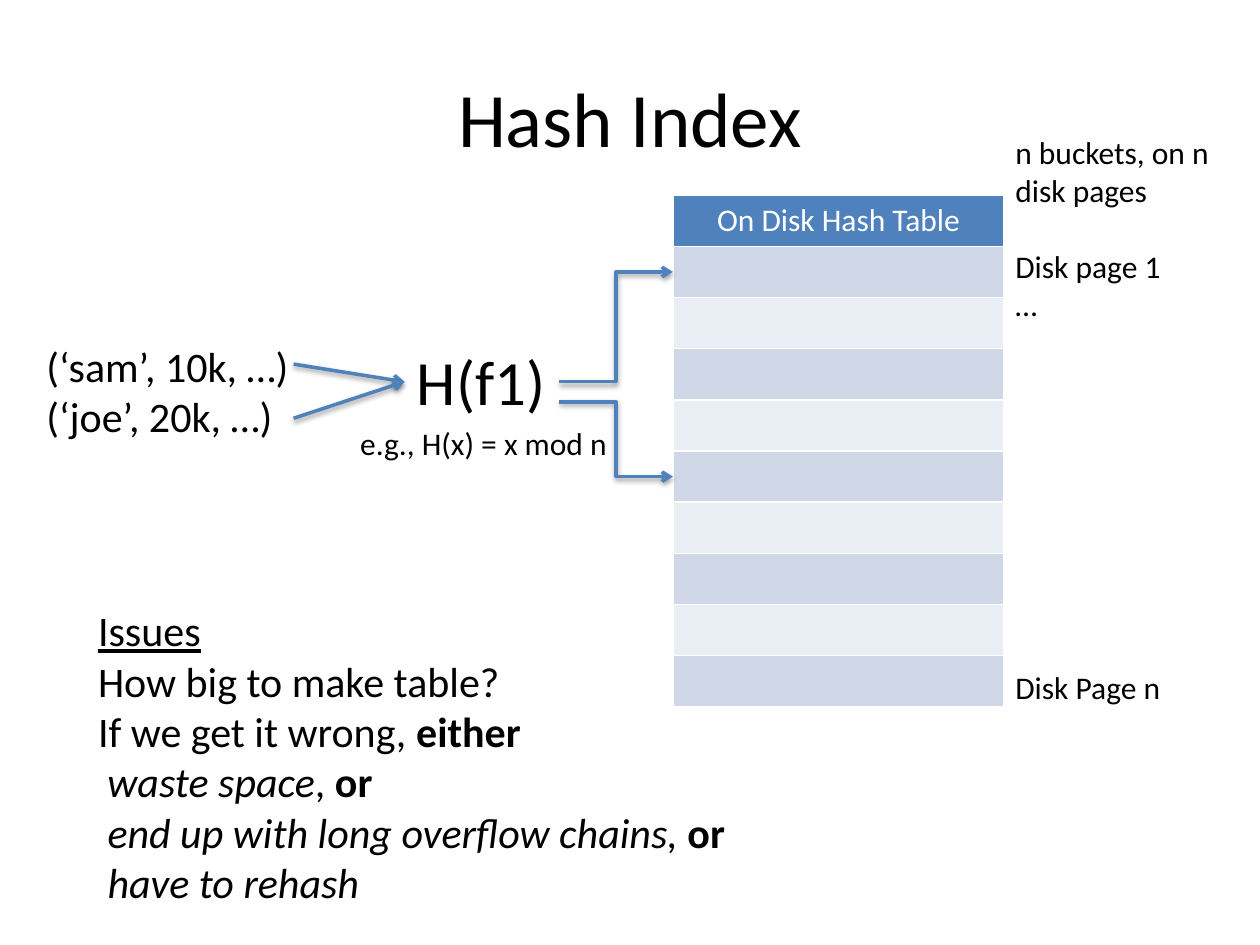
from lxml import etree
from pptx import Presentation
from pptx.dml.color import RGBColor
from pptx.enum import shapes, text
from pptx.oxml import parse_xml
from pptx.oxml.ns import nsdecls, qn
from pptx.util import Inches, Pt

BLACK = RGBColor(0, 0, 0)
WHITE = RGBColor(255, 255, 255)
BLUE = RGBColor(0x4F, 0x81, 0xBD)
BANDS = RGBColor(0xD0, 0xD8, 0xE8), RGBColor(0xE9, 0xED, 0xF4)
FONT = "Calibri"

TITLE = "Hash Index"
TABLE_HEADING = "On Disk Hash Table"
BUCKETS = 9
TABLE_LEFT, TABLE_TOP, TABLE_WIDTH, ROW_HEIGHT = 5.34, 1.55, 2.63, 4.06 / (BUCKETS + 1)

# Each label: box, size, wrap, paragraphs as (space before, [(words, style)])
LABELS = [
    ((7.96, 1.01, 1.81, 4.64), 18, True, [
        (0, [("n buckets, on n disk pages", "")]),
        (22, [("Disk page 1", "")]),
        (0, [("…", "")]),
        (197, [("Disk Page n", "")])]),
    ((3.21, 2.67, 1.23, 0.71), 36, True, [(0, [("H(f1)", "")])]),
    ((0.27, 2.65, 2.32, 0.91), 24, True, [
        (0, [("(‘sam’, 10k, …)", "")]),
        (0, [("(‘joe’, 20k, …)", "")])]),
    ((0.68, 4.75, 5.33, 2.52), 24, True, [
        (0, [("Issues", "u")]),
        (0, [("How big to make table?", "")]),
        (0, [("If we get it wrong, ", ""), ("either", "b")]),
        (0, [(" ", ""), ("waste space", "i"), (", ", ""), ("or", "b")]),
        (0, [(" end up with long overflow chains, ", "i"), ("or", "b")]),
        (0, [(" have to rehash", "i")])]),
    ((2.76, 3.32, 2.18, 0.4), 18, False, [(0, [("e.g., H(x) = x mod n", "")])]),
]


def bucket_middle(number):
    return TABLE_TOP + ROW_HEIGHT * (number + 0.5)


STRAIGHT, ELBOW = shapes.MSO_CONNECTOR.STRAIGHT, shapes.MSO_CONNECTOR.ELBOW
ARROWS = [
    (STRAIGHT, 2.33, 2.89, 3.21, 3.03),
    (ELBOW, 4.44, 3.03, TABLE_LEFT, bucket_middle(1)),
    (STRAIGHT, 2.33, 3.32, 3.21, 3.03),
    (ELBOW, 4.44, 3.19, TABLE_LEFT, bucket_middle(5)),
]
SHADOW = (
    f'<a:effectLst {nsdecls("a")}><a:outerShdw blurRad="{Pt(3.1)}" dist="{Pt(1.6)}" '
    'dir="5400000" rotWithShape="0"><a:srgbClr val="000000"><a:alpha val="38000"/>'
    '</a:srgbClr></a:outerShdw></a:effectLst>'
)


def style_run(run, size, color, style=""):
    run.font.name = FONT
    run.font.size = Pt(size)
    run.font.color.rgb = color
    run.font.bold = "b" in style
    run.font.italic = "i" in style
    run.font.underline = "u" in style


def add_label(slide, box, size, wrap, paragraphs):
    frame = slide.shapes.add_textbox(*map(Inches, box)).text_frame
    frame.word_wrap = wrap
    for index, (space, pieces) in enumerate(paragraphs):
        paragraph = frame.add_paragraph() if index else frame.paragraphs[0]
        paragraph.space_before = Pt(space)
        for words, style in pieces:
            run = paragraph.add_run()
            run.text = words
            style_run(run, size, BLACK, style)


def add_arrow(slide, kind, *ends):
    arrow = slide.shapes.add_connector(kind, *map(Inches, ends))
    arrow.line.color.rgb = BLUE
    arrow.line.width = Pt(2)
    etree.SubElement(arrow.line._get_or_add_ln(), qn("a:tailEnd"), type="arrow")
    arrow._element.spPr.append(parse_xml(SHADOW))


deck = Presentation()
deck.slide_width, deck.slide_height = Inches(10), Inches(7.5)
slide = deck.slides.add_slide(deck.slide_layouts[5])

title = slide.shapes.title
title.left, title.top, title.width, title.height = map(Inches, (0.5, 0.3, 9, 1.25))
title.text_frame.text = TITLE
title.text_frame.vertical_anchor = text.MSO_ANCHOR.MIDDLE
title.text_frame.paragraphs[0].alignment = text.PP_ALIGN.CENTER
style_run(title.text_frame.paragraphs[0].runs[0], 44, BLACK)

rows = BUCKETS + 1
hash_table = slide.shapes.add_table(
    rows, 1, Inches(TABLE_LEFT), Inches(TABLE_TOP),
    Inches(TABLE_WIDTH), Inches(ROW_HEIGHT * rows)).table
for number in range(rows):
    bucket = hash_table.cell(number, 0)
    bucket.fill.solid()
    bucket.fill.fore_color.rgb = BANDS[(number - 1) % 2] if number else BLUE
heading = hash_table.cell(0, 0).text_frame
heading.text = TABLE_HEADING
heading.paragraphs[0].alignment = text.PP_ALIGN.CENTER
style_run(heading.paragraphs[0].runs[0], 18, WHITE)

for label in LABELS:
    add_label(slide, *label)
for arrow in ARROWS:
    add_arrow(slide, *arrow)

deck.save("out.pptx")
